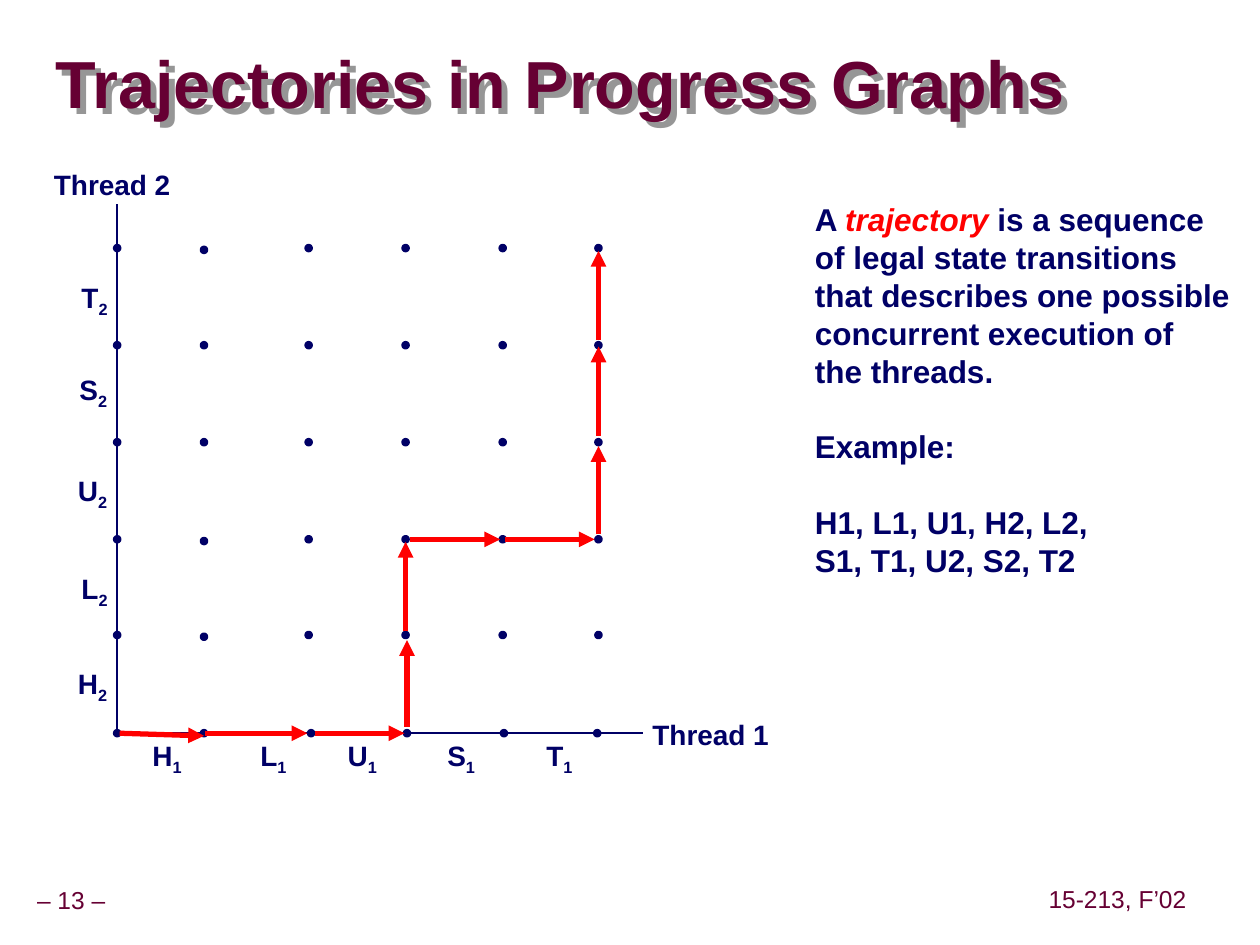
from lxml import etree
from pptx import Presentation
from pptx.dml.color import RGBColor
from pptx.enum.shapes import MSO_CONNECTOR, MSO_SHAPE
from pptx.enum.text import MSO_ANCHOR, MSO_AUTO_SIZE, PP_ALIGN
from pptx.oxml.ns import qn
from pptx.util import Pt

STRAIGHT = MSO_CONNECTOR.STRAIGHT
OVAL = MSO_SHAPE.OVAL
MIDDLE = MSO_ANCHOR.MIDDLE
FIT_SHAPE, FIXED = MSO_AUTO_SIZE.SHAPE_TO_FIT_TEXT, MSO_AUTO_SIZE.NONE
LEFT, CENTER = PP_ALIGN.LEFT, PP_ALIGN.CENTER

NAVY, RED, MAROON, GRAY = "000066", "FF0000", "660033", "969696"

COLUMNS = [67, 116.6, 176.4, 231.8, 287.3, 342]
AXIS_COLUMNS = [67, 116.6, 177.8, 232.6, 288, 341.3]
ROWS = [419, 362.9, 308.2, 252.7, 197.3, 141.8]
LOWERED_ROWS = (1, 2, 5)  # rows whose first inner dot sits 1 pt lower
DOT = 2.9

STEP_WIDTHS = {"H": 31, "L": 28.8, "U": 31, "S": 30.2, "T": 28.8}
STEP_HEIGHT = 29.5
THREAD1_CENTERS = [95.4, 156.2, 207, 263.5, 319.7]
THREAD2_CENTERS = [392, 337.3, 281.2, 223.6, 171]

TRAJECTORY = [
    (68.4, 419, 116.6, 420.5),
    (117.4, 419, 175.7, 419),
    (180, 419, 231.1, 419),
    (232.6, 415.4, 232.6, 365.8),
    (231.8, 360.7, 231.8, 309.6),
    (234, 308.2, 285.8, 308.2),
    (288.7, 308.2, 339.8, 308.2),
    (342, 305.3, 342, 254.9),
    (342, 249.1, 342, 198),
    (342, 194.4, 342, 143.3),
]

LINE_PITCH = 21.6
EXPLANATION = [  # text, space before
    ("A ", 0),
    ("of legal state transitions", 0),
    ("that describes one possible", 0),
    ("concurrent execution of", 0),
    ("the threads.", 0),
    ("Example:", LINE_PITCH),
    ("H1, L1, U1, H2, L2,", LINE_PITCH),
    ("S1, T1, U2, S2, T2", 0),
]


def color(hex_string):
    return RGBColor.from_string(hex_string)


def format_run(run, size, hex_color, bold=True):
    run.font.name = "Arial"
    run.font.size = Pt(size)
    run.font.bold = bold
    run.font.color.rgb = color(hex_color)


def add_text(slide, box, text, size, hex_color, bold=True, align=CENTER,
             inset=(3.6, 3.6), spacing=None):
    """Add a text box; left-aligned boxes wrap, centred ones fit their line."""
    label = slide.shapes.add_textbox(*map(Pt, box))
    frame = label.text_frame
    frame.word_wrap = align == LEFT
    frame.auto_size = FIXED if align == LEFT else FIT_SHAPE
    frame.vertical_anchor = MIDDLE
    frame.margin_left = frame.margin_right = Pt(inset[0])
    frame.margin_top = frame.margin_bottom = Pt(inset[1])
    frame.text = text
    paragraph = frame.paragraphs[0]
    paragraph.alignment = align
    paragraph.line_spacing = spacing
    format_run(paragraph.runs[0], size, hex_color, bold)
    return label


def add_title(slide, text):
    title = add_text(slide, (31.7, 19.4, 686, 61.2), text, 38, MAROON,
                     align=LEFT, inset=(0, 0), spacing=0.87)
    effects = etree.SubElement(title._element.spPr, qn("a:effectLst"))
    shadow = etree.SubElement(effects, qn("a:outerShdw"), dist="63500",
                              dir="2700000", algn="ctr", rotWithShape="0")
    etree.SubElement(shadow, qn("a:srgbClr"), val=GRAY)


def add_step(slide, left, top, letter, thread):
    """Label one step of a thread, with the thread number as subscript."""
    box = (left, top, STEP_WIDTHS[letter], STEP_HEIGHT)
    step = add_text(slide, box, letter, 16, NAVY)
    subscript = step.text_frame.paragraphs[0].add_run()
    subscript.text = str(thread)
    format_run(subscript, 16, NAVY)
    subscript.font._element.set("baseline", "-25000")


def add_line(slide, ends, hex_color, width, arrow=False):
    connector = slide.shapes.add_connector(STRAIGHT, *map(Pt, ends))
    connector.line.color.rgb = color(hex_color)
    connector.line.width = Pt(width)
    if arrow:
        etree.SubElement(connector.line._get_or_add_ln(), qn("a:tailEnd"),
                         type="triangle")
    etree.SubElement(connector._element.spPr, qn("a:effectLst"))


def add_dot(slide, x, y):
    dot = slide.shapes.add_shape(OVAL, Pt(x - DOT / 2), Pt(y - DOT / 2),
                                 Pt(DOT), Pt(DOT))
    dot.shadow.inherit = False
    dot.fill.solid()
    dot.fill.fore_color.rgb = color(NAVY)
    dot.line.color.rgb = color(NAVY)
    dot.line.width = Pt(2)


def add_explanation(slide):
    frame = add_text(slide, (458.6, 110.9, 256.3, 223.2), EXPLANATION[0][0],
                     18, NAVY, align=LEFT, inset=(7.2, 3.6)).text_frame
    opening = frame.paragraphs[0]
    for text, hex_color in (("trajectory", RED), (" is a sequence", NAVY)):
        run = opening.add_run()
        run.text = text
        format_run(run, 18, hex_color)
        run.font.italic = hex_color == RED
    for text, gap in EXPLANATION[1:]:
        paragraph = frame.add_paragraph()
        paragraph.text = text
        paragraph.space_before = Pt(gap)
        format_run(paragraph.runs[0], 18, NAVY)
    for paragraph in frame.paragraphs:
        paragraph.line_spacing = Pt(LINE_PITCH)


def add_axes(slide):
    origin = (COLUMNS[0], ROWS[0])
    add_line(slide, (*origin, 367.2, ROWS[0]), NAVY, 1)
    add_line(slide, (*origin, COLUMNS[0], 116.6), NAVY, 1)
    add_text(slide, (365.8, 406.1, 80.6, 26.6), "Thread 1", 16, NAVY)
    add_text(slide, (23.8, 92.2, 80.6, 26.6), "Thread 2", 16, NAVY)
    for letter, x, y in zip(STEP_WIDTHS, THREAD1_CENTERS, THREAD2_CENTERS):
        width = STEP_WIDTHS[letter]
        add_step(slide, x - width / 2, 418.3, letter, 1)
        add_step(slide, 68.4 - width, y - STEP_HEIGHT / 2, letter, 2)


def add_states(slide):
    for row, y in enumerate(ROWS):
        for column, x in enumerate(COLUMNS if row else AXIS_COLUMNS):
            lowered = column == 1 and row in LOWERED_ROWS
            add_dot(slide, x, y + 1 if lowered else y)


def main():
    presentation = Presentation()
    presentation.slide_width, presentation.slide_height = Pt(720), Pt(540)
    slide = presentation.slides.add_slide(presentation.slide_layouts[6])
    for box, text in (((-6.5, 504, 94.3, 22.3), "– 13 –"),
                      ((595.4, 503.3, 86.4, 22.3), "15-213, F’02")):
        add_text(slide, box, text, 14, MAROON, bold=False, spacing=0.9)
    add_title(slide, "Trajectories in Progress Graphs")
    add_explanation(slide)
    add_axes(slide)
    add_states(slide)
    for ends in TRAJECTORY:
        add_line(slide, ends, RED, 3, arrow=True)
    presentation.save("out.pptx")


if __name__ == "__main__":
    main()
